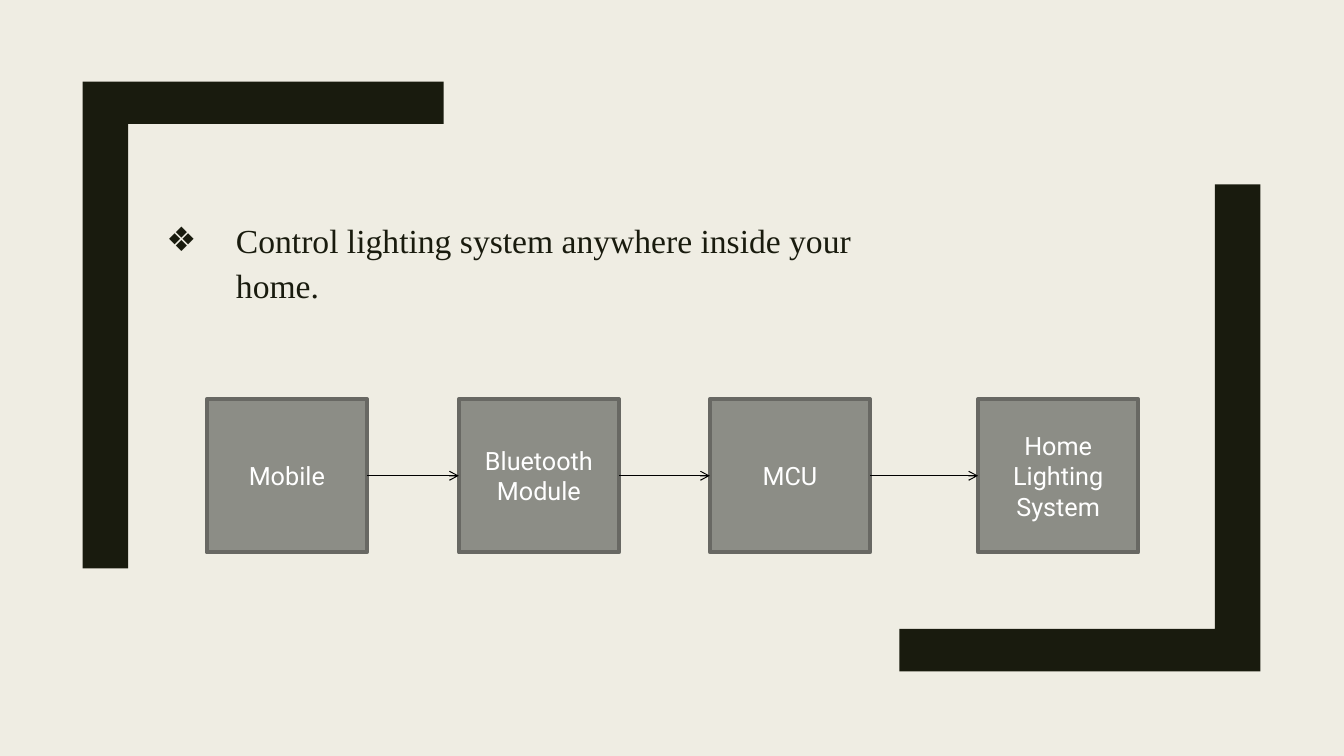
import dataclasses
import itertools

import pptx
import pptx.dml.color
import pptx.enum.shapes
import pptx.enum.text
import pptx.oxml
import pptx.oxml.ns
import pptx.util

Inches = pptx.util.Inches
Pt = pptx.util.Pt


@dataclasses.dataclass(frozen=True)
class Theme:
    """Colours, fonts and sizes of the slide."""
    back: str = "EFEDE3"
    dark: str = "191B0E"
    box: str = "8C8D86"
    edge: str = "686863"
    label: str = "FFFFFF"
    arrow: str = "000000"
    serif: str = "Times New Roman"
    sans: str = "Roboto"
    body: int = 24
    small: int = 18


THEME = Theme()
WIDE, HIGH = 13.33, 7.5
BOX_TOP, BOX_WIDE, BOX_HIGH = 3.96, 1.59, 1.52
STAGES = [
    ("Mobile", 2.05),
    ("Bluetooth Module", 4.55),
    ("MCU", 7.04),
    ("Home Lighting System", 9.7),
]
CORNER = [(0.82, 0.81), (4.4, 0.81), (4.4, 1.23),
          (1.27, 1.23), (1.27, 5.64), (0.82, 5.64)]
TURN = (13.32, 7.47)


def paint(fill, color):
    """Make a fill solid in the given colour."""
    fill.solid()
    fill.fore_color.rgb = pptx.dml.color.RGBColor.from_string(color)


def add_run(para, text, font, size, color):
    """Add one styled run to a paragraph."""
    run = para.add_run()
    run.text = text
    run.font.name = font
    run.font.size = Pt(size)
    paint(run.font.fill, color)


def add_xml(parent, tag, attrs=""):
    """Append an empty drawing element to a parent."""
    space = pptx.oxml.ns.nsdecls("a")
    parent.append(pptx.oxml.parse_xml(f"<a:{tag} {space} {attrs}/>"))


def add_corner(slide, points):
    """Draw a solid corner bracket through the points."""
    spots = [(Inches(x), Inches(y)) for x, y in points]
    build = slide.shapes.build_freeform(*spots[0], scale=1.0)
    build.add_line_segments(spots[1:], close=True)
    shape = build.convert_to_shape()
    shape.shadow.inherit = False
    paint(shape.fill, THEME.dark)
    shape.line.fill.background()


def add_point(holder, text):
    """Place the subtitle holder and fill it with one bullet."""
    holder.left, holder.top = Inches(1.55), Inches(2.08)
    holder.width, holder.height = Inches(7.47), Inches(2.26)
    holder.text_frame.word_wrap = True
    para = holder.text_frame.paragraphs[0]
    para.alignment = pptx.enum.text.PP_ALIGN.LEFT
    para.line_spacing = 1.12
    para.space_before = Pt(0)
    add_run(para, text, THEME.serif, THEME.body, THEME.dark)
    props = para._p.get_or_add_pPr()
    props.set("marL", str(Inches(0.69)))
    props.set("indent", str(Inches(-0.69)))
    add_xml(props, "buChar", 'char="\u2756"')


def add_stage(slide, text, left):
    """Add one labelled box of the chain."""
    box = slide.shapes.add_shape(
        pptx.enum.shapes.MSO_SHAPE.RECTANGLE, Inches(left), Inches(BOX_TOP),
        Inches(BOX_WIDE), Inches(BOX_HIGH))
    box.shadow.inherit = False
    paint(box.fill, THEME.box)
    paint(box.line.fill, THEME.edge)
    box.line.width = Pt(2.75)
    frame = box.text_frame
    frame.word_wrap = True
    frame.vertical_anchor = pptx.enum.text.MSO_ANCHOR.MIDDLE
    para = frame.paragraphs[0]
    para.alignment = pptx.enum.text.PP_ALIGN.CENTER
    add_run(para, text, THEME.sans, THEME.small, THEME.label)
    return box


def add_arrow(slide, start, end):
    """Join the right side of one box to the left side of the next."""
    line = slide.shapes.add_connector(
        pptx.enum.shapes.MSO_CONNECTOR.STRAIGHT, 0, 0, 0, 0)
    line.begin_connect(start, 3)
    line.end_connect(end, 1)
    paint(line.line.fill, THEME.arrow)
    line.line.width = Pt(0.75)
    add_xml(line.line._get_or_add_ln(), "tailEnd", 'type="arrow"')
    add_xml(line._element.spPr, "effectLst")


def main():
    """Build and save the slide."""
    deck = pptx.Presentation()
    deck.slide_width, deck.slide_height = Inches(WIDE), Inches(HIGH)
    slide = deck.slides.add_slide(deck.slide_layouts[0])
    paint(slide.background.fill, THEME.back)
    title = slide.shapes.title.element
    title.getparent().remove(title)

    add_corner(slide, [(TURN[0] - x, TURN[1] - y) for x, y in CORNER])
    add_corner(slide, CORNER)
    add_point(slide.placeholders[1],
              "Control lighting system anywhere inside your home.")
    boxes = [add_stage(slide, text, left) for text, left in STAGES]
    for start, end in itertools.pairwise(boxes):
        add_arrow(slide, start, end)
    deck.save("out.pptx")


main()
